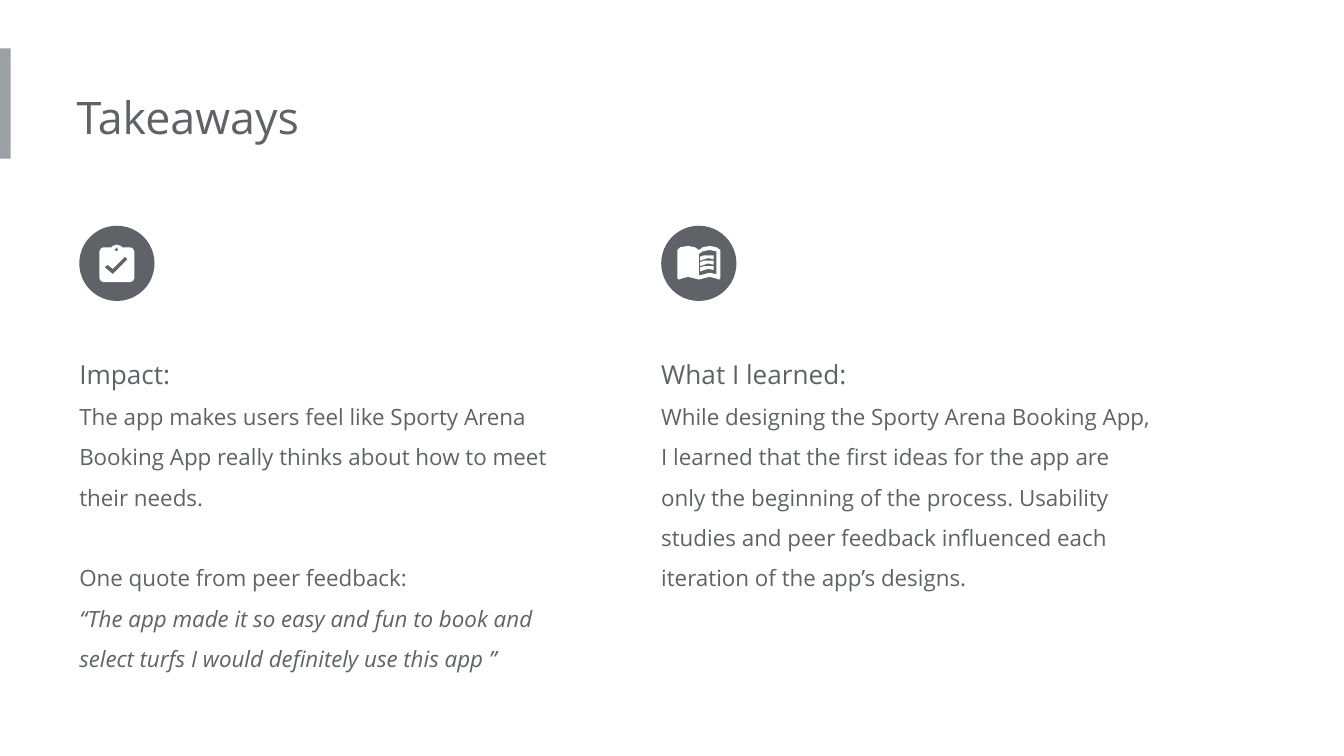
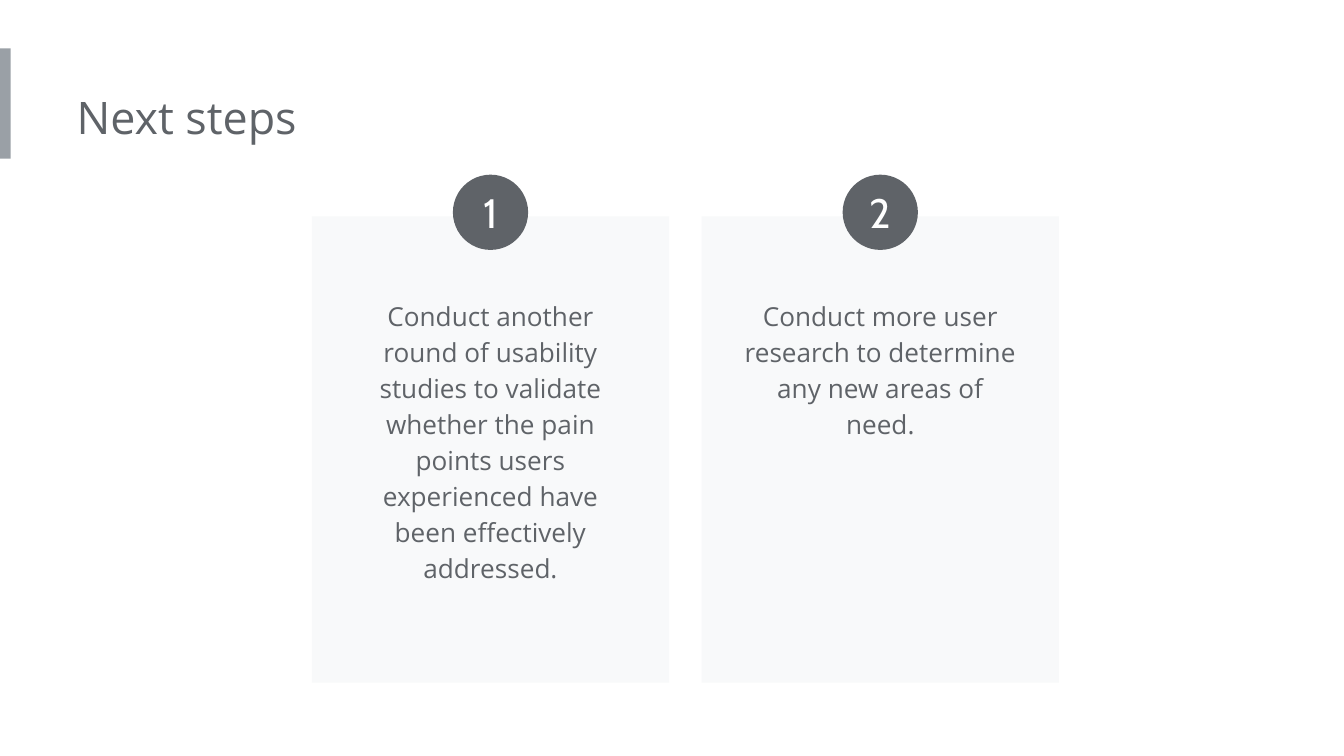
from pptx import Presentation
from pptx.dml.color import RGBColor
from pptx.enum.shapes import MSO_SHAPE as Preset
from pptx.enum.text import MSO_ANCHOR as Anchor, MSO_AUTO_SIZE as AutoSize, PP_ALIGN as Align
from pptx.util import Inches, Pt

# Shared look
GREY, BAND, CARD, WHITE = "5F6368", "9AA0A6", "F8F9FA", "FFFFFF"
BODY_FONT, NUMBER_FONT = "Open Sans", "Cabin"
CIRCLE = 0.56
FLUSH_LEFT = (0, 0.1, 0.1, 0.1)
EVEN = (0.1, 0.1, 0.1, 0.1)
NO_INSET = (0, 0, 0, 0)

# Content: each paragraph is its text and its format values
HEADING = {"size": 14, "line_spacing": 1.5}
BODY = {"size": 12, "line_spacing": 1.5}
QUOTE_INTRO = {**BODY, "space_before": Pt(21.6)}
STEP = {"size": 14, "line_spacing": 1.15, "alignment": Align.CENTER}
NUMBER = {"size": 22, "font": NUMBER_FONT, "color": WHITE, "alignment": Align.CENTER}

TAKEAWAYS = [
    (0.59, 3.22, [
        ("Impact:", HEADING),
        ("The app makes users feel like Sporty Arena Booking App really thinks "
         "about how to meet their needs.", BODY),
        ("One quote from peer feedback:", QUOTE_INTRO),
        ("“The app made it so easy and fun to book and select turfs I would "
         "definitely use this app ”", {**BODY, "italic": True}),
    ]),
    (4.92, 2.31, [
        ("What I learned:", HEADING),
        ("While designing the Sporty Arena Booking App, I learned that the first "
         "ideas for the app are only the beginning of the process. Usability studies "
         "and peer feedback influenced each iteration of the app’s designs.", BODY),
    ]),
]
NEXT_STEPS = [
    (2.57, "Conduct another round of usability studies to validate whether the pain "
           "points users experienced have been effectively addressed."),
    (1.49, "Conduct more user research to determine any new areas of need."),
]

# Icon outlines in inches; the first is the outside, the others are holes
CLIPBOARD = [
    [(0.97, 1.84), (0.91, 1.84), (0.9, 1.83), (0.87, 1.82), (0.84, 1.83), (0.83, 1.84),
     (0.77, 1.84), (0.75, 1.85), (0.74, 1.87), (0.74, 2.07), (0.75, 2.09), (0.77, 2.1),
     (0.97, 2.1), (0.99, 2.09), (1, 2.07), (1, 1.87), (0.99, 1.85)],
    [(0.87, 1.84), (0.88, 1.86), (0.87, 1.87), (0.85, 1.86)],
    [(0.84, 2.04), (0.78, 1.99), (0.8, 1.97), (0.84, 2), (0.93, 1.91), (0.95, 1.93)],
]
BOOK = [
    [(5.04, 1.86), (5.06, 1.84), (5.12, 1.83), (5.17, 1.84), (5.2, 1.86), (5.23, 1.84),
     (5.28, 1.83), (5.33, 1.84), (5.36, 1.86), (5.36, 2.07), (5.35, 2.08), (5.32, 2.07),
     (5.28, 2.06), (5.24, 2.07), (5.2, 2.08), (5.16, 2.07), (5.12, 2.06), (5.08, 2.07),
     (5.05, 2.08), (5.04, 2.07)],
    [(5.2, 1.89), (5.23, 1.87), (5.28, 1.86), (5.33, 1.87), (5.33, 2.04), (5.28, 2.03),
     (5.24, 2.04), (5.2, 2.05)],
]
PAGE_LINE = [(5.21, 1.91), (5.24, 1.9), (5.27, 1.9), (5.31, 1.9), (5.31, 1.93),
             (5.27, 1.92), (5.24, 1.93), (5.21, 1.94)]
PAGE_LINES = [[[(x, y + 0.04 * row) for x, y in PAGE_LINE]] for row in range(3)]


def color(value):
    return RGBColor.from_string(value)


def paint(shape, fill):
    shape.shadow.inherit = False
    shape.fill.solid()
    shape.fill.fore_color.rgb = color(fill)
    shape.line.fill.background()
    return shape


def add_block(slide, preset, box, fill):
    return paint(slide.shapes.add_shape(preset, *map(Inches, box)), fill)


def add_icon(slide, contours):
    builder = None
    for contour in contours:
        start, *rest = [(Inches(x), Inches(y)) for x, y in contour]
        if builder is None:
            builder = slide.shapes.build_freeform(*start)
        else:
            builder.move_to(*start)
        builder.add_line_segments(rest, close=True)
    paint(builder.convert_to_shape(), WHITE)


def write(shape, paragraphs, insets, anchor=Anchor.TOP, auto_size=AutoSize.SHAPE_TO_FIT_TEXT):
    frame = shape.text_frame
    frame.word_wrap, frame.auto_size, frame.vertical_anchor = True, auto_size, anchor
    for side, inset in zip(("left", "top", "right", "bottom"), insets):
        setattr(frame, f"margin_{side}", Inches(inset))
    for index, (text, style) in enumerate(paragraphs):
        paragraph = frame.add_paragraph() if index else frame.paragraphs[0]
        run = paragraph.add_run()
        run.text = text
        run.font.name = style.get("font", BODY_FONT)
        run.font.size = Pt(style["size"])
        run.font.color.rgb = color(style.get("color", GREY))
        run.font.italic = style.get("italic")
        for name in ("alignment", "line_spacing", "space_before"):
            if name in style:
                setattr(paragraph, name, style[name])


def add_text(slide, box, paragraphs, insets):
    write(slide.shapes.add_textbox(*map(Inches, box)), paragraphs, insets)


def add_titled_slide(presentation, title):
    slide = presentation.slides.add_slide(presentation.slide_layouts[5])
    add_block(slide, Preset.RECTANGLE, (0, 0.36, 0.08, 0.82), BAND)
    shape = slide.shapes.title
    box = {"left": 0.57, "top": 0.57, "width": 5.39, "height": 0.61}
    for name, length in box.items():
        setattr(shape, name, Inches(length))
    write(shape, [(title, {"size": 24, "alignment": Align.LEFT})], FLUSH_LEFT)
    return slide


def build_takeaways(presentation):
    slide = add_titled_slide(presentation, "Takeaways")
    for left, height, paragraphs in TAKEAWAYS:
        add_text(slide, (left, 2.45, 3.77, height), paragraphs, FLUSH_LEFT)
        add_block(slide, Preset.OVAL, (left, 1.68, CIRCLE, CIRCLE), GREY)
    for contours in [CLIPBOARD, BOOK, *PAGE_LINES]:
        add_icon(slide, contours)


def build_next_steps(presentation):
    slide = add_titled_slide(presentation, "Next steps")
    first_left, card_width, gap, text_width = 2.32, 2.66, 0.24, 2.24
    for index, (height, text) in enumerate(NEXT_STEPS):
        left = first_left + index * (card_width + gap)
        middle = left + card_width / 2
        # Card, its text and the numbered circle share one centre line
        add_block(slide, Preset.RECTANGLE, (left, 1.61, card_width, 3.47), CARD)
        add_text(slide, (middle - text_width / 2, 2.1, text_width, height),
                 [(text, STEP)], EVEN)
        circle = add_block(slide, Preset.OVAL,
                           (middle - CIRCLE / 2, 1.3, CIRCLE, CIRCLE), GREY)
        write(circle, [(str(index + 1), NUMBER)], NO_INSET, Anchor.MIDDLE, AutoSize.NONE)


def main():
    presentation = Presentation()
    # Widescreen, 16 to 9
    presentation.slide_width = Inches(10)
    presentation.slide_height = Inches(10) * 9 // 16
    build_takeaways(presentation)
    build_next_steps(presentation)
    presentation.save("out.pptx")


if __name__ == "__main__":
    main()
